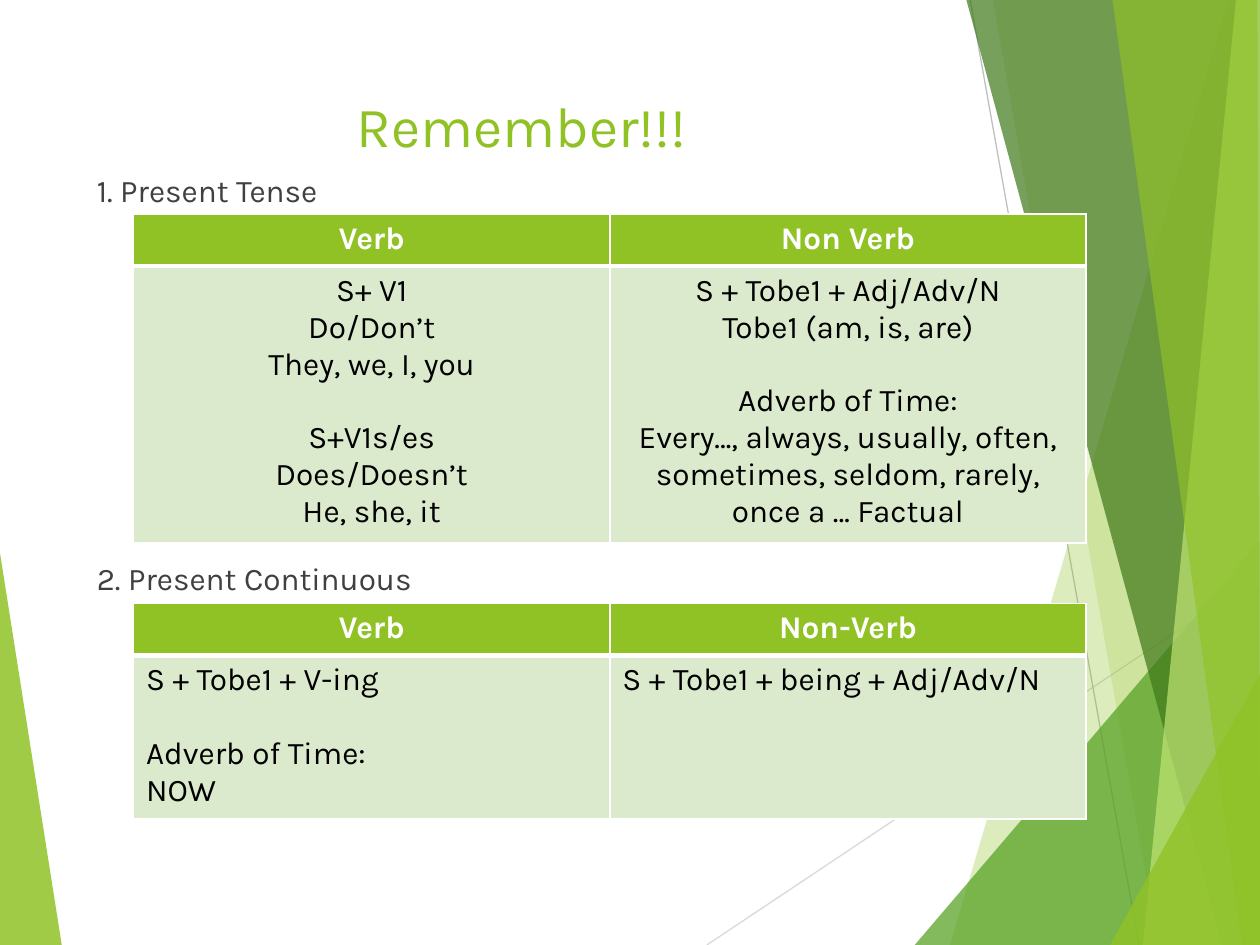
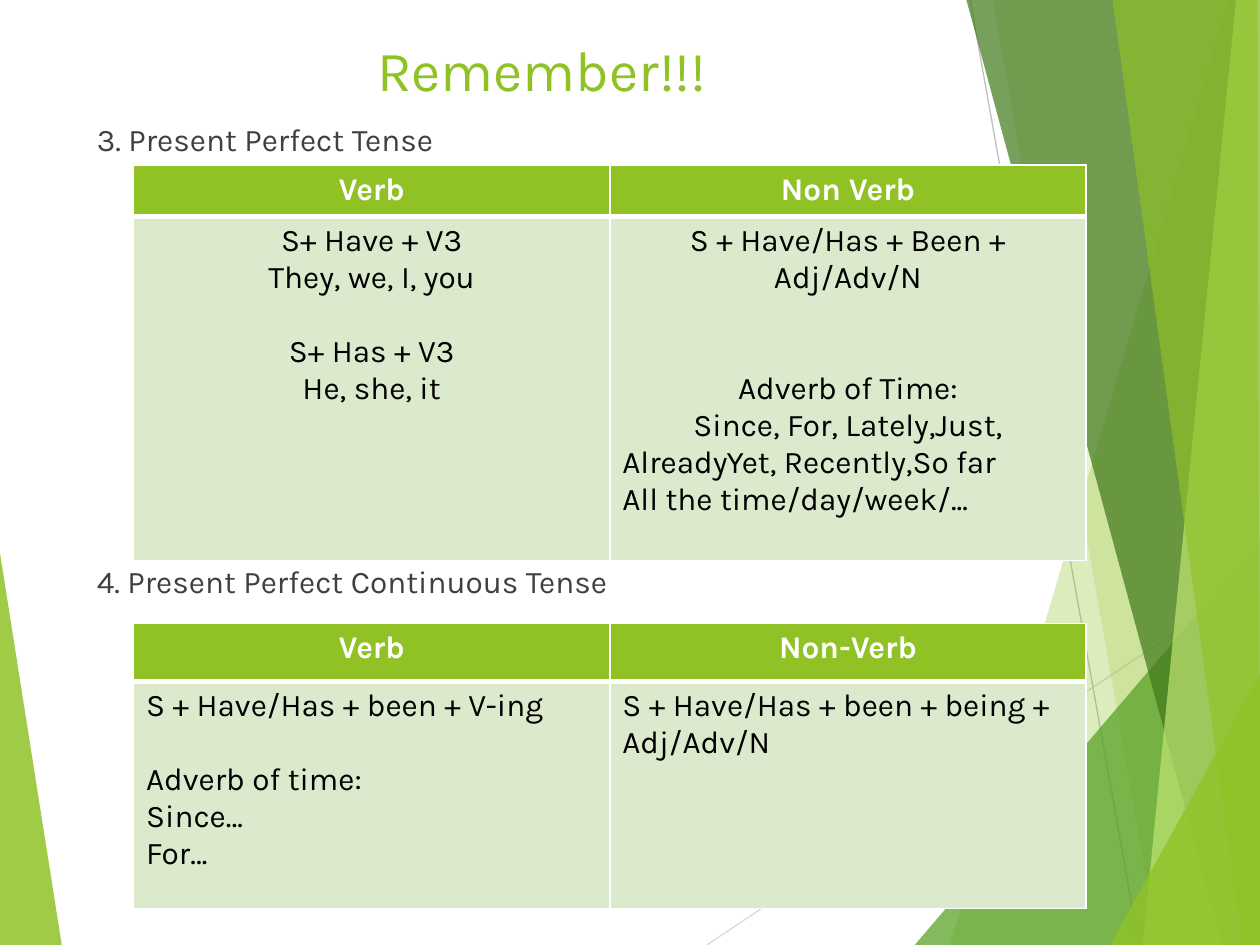
import pptx
import pptx.dml.color
import pptx.enum.text
import pptx.oxml.ns
import pptx.util
import lxml.etree

RGBColor = pptx.dml.color.RGBColor
LEFT = pptx.enum.text.PP_ALIGN.LEFT
CENTER = pptx.enum.text.PP_ALIGN.CENTER
MIDDLE = pptx.enum.text.MSO_ANCHOR.MIDDLE

LIME = RGBColor(0x90, 0xC2, 0x26)
LEAF = RGBColor(0x54, 0xA0, 0x21)
FOREST = RGBColor(0x3F, 0x78, 0x19)
PALE_LIME = RGBColor(0xC0, 0xE4, 0x74)
PALE_GREEN = RGBColor(0xDB, 0xE9, 0xCD)
LIGHT_GRAY = RGBColor(0xD9, 0xD9, 0xD9)
MID_GRAY = RGBColor(0xBF, 0xBF, 0xBF)
DARK_GRAY = RGBColor(0x40, 0x40, 0x40)
BLACK = RGBColor(0, 0, 0)
WHITE = RGBColor(255, 255, 255)

FONT = "Karla"
BODY_SIZE = 18
BLANK_LINE = 21  # points

presentation = pptx.Presentation()
presentation.slide_width = pptx.util.Inches(10)
presentation.slide_height = pptx.util.Inches(7.5)
SQUARE = presentation.slide_width / 10  # the slide is a grid of 10 by 7.5 squares
RIGHT, BOTTOM = 10, 7.5

HEADING_LEFT, HEADING_WIDTH, HEADING_HEIGHT = 0.67, 7.96, 0.4
TITLE_WIDTH, TITLE_HEIGHT = 6.94, 0.64
TABLE_LEFT, TABLE_WIDTH = 1.06, 7.56

# Background, back to front: outline, colour, opacity in percent
left_wedge = ([(0, 4.39), (0.49, BOTTOM), (0, BOTTOM)], LIME, 85)
thin_lines = [
    ((5.61, BOTTOM), (RIGHT, 4.57), LIGHT_GRAY),
    ((7.7, 0), (9.04, BOTTOM), MID_GRAY),
]
right_facets = [
    ([(9.75, 0), (7.54, BOTTOM), (RIGHT, BOTTOM), (RIGHT, 0)], LIME, 30),
    ([(7.88, 0), (9.19, BOTTOM), (RIGHT, BOTTOM), (RIGHT, 0)], LIME, 20),
    ([(7.26, BOTTOM), (RIGHT, 4.29), (RIGHT, BOTTOM)], LEAF, 72),
    ([(7.67, 0), (9.7, BOTTOM), (RIGHT, BOTTOM), (RIGHT, 0)], FOREST, 70),
    ([(9.81, 0), (9.07, BOTTOM), (RIGHT, BOTTOM), (RIGHT, 0)], PALE_LIME, 70),
    ([(8.83, 0), (9.86, BOTTOM), (RIGHT, BOTTOM), (9.98, 0)], LIME, 65),
    ([(8.81, BOTTOM), (RIGHT, 5.35), (RIGHT, BOTTOM)], LIME, 80),
]

# A cell is a list of groups: alignment, blank lines above, lines of text
lessons = [
    {
        "title_at": (0.67, 0.67),
        "tenses": [
            {
                "heading": "1. Present Tense", "heading_top": 1.31,
                "table_top": 1.7, "rows": (0.41, 2.2),
                "headers": ("Verb", "Non Verb"),
                "cells": (
                    [(CENTER, 0, ["S+ V1", "Do/Don’t", "They, we, I, you"]),
                     (CENTER, 1, ["S+V1s/es", "Does/Doesn’t", "He, she, it"])],
                    [(CENTER, 0, ["S + Tobe1 + Adj/Adv/N", "Tobe1 (am, is, are)"]),
                     (CENTER, 1, ["Adverb of Time:",
                                  "Every…, always, usually, often, sometimes, "
                                  "seldom, rarely, once a … Factual"])],
                ),
            },
            {
                "heading": "2. Present Continuous", "heading_top": 4.39,
                "table_top": 4.79, "rows": (0.41, 1.3),
                "headers": ("Verb", "Non-Verb"),
                "cells": (
                    [(LEFT, 0, ["S + Tobe1 + V-ing"]),
                     (LEFT, 1, ["Adverb of Time:", "NOW"])],
                    [(LEFT, 0, ["S + Tobe1 + being + Adj/Adv/N"])],
                ),
            },
        ],
    },
    {
        "title_at": (0.83, 0.23),
        "tenses": [
            {
                "heading": "3. Present Perfect Tense", "heading_top": 0.9,
                "table_top": 1.31, "rows": (0.41, 2.73),
                "headers": ("Verb", "Non Verb"),
                "cells": (
                    [(CENTER, 0, ["S+ Have + V3", "They, we, I, you"]),
                     (CENTER, 1, ["S+ Has + V3", "He, she, it"])],
                    [(CENTER, 0, ["S + Have/Has + Been + Adj/Adv/N"]),
                     (CENTER, 2, ["Adverb of Time:", "Since, For, Lately,Just,"]),
                     (LEFT, 0, ["AlreadyYet, Recently,So far",
                                "All the time/day/week/..."])],
                ),
            },
            {
                "heading": "4. Present Perfect Continuous Tense", "heading_top": 4.41,
                "table_top": 4.95, "rows": (0.46, 1.8),
                "headers": ("Verb", "Non-Verb"),
                "cells": (
                    [(LEFT, 0, ["S + Have/Has + been + V-ing"]),
                     (LEFT, 1, ["Adverb of time:", "Since…", "For…"])],
                    [(LEFT, 0, ["S + Have/Has + been + being + Adj/Adv/N"])],
                ),
            },
        ],
    },
]


def grid(*squares):
    """Turn counts of grid squares into whole slide units."""
    return [round(count * SQUARE) for count in squares]


def add_text(frame, text, size=BODY_SIZE, color=BLACK, bold=False, align=LEFT, space_before=0):
    """Fill the frame's empty first paragraph, or append a new one."""
    frame.word_wrap = True
    paragraph = frame.add_paragraph() if frame.text else frame.paragraphs[0]
    paragraph.alignment = align
    paragraph.space_before = pptx.util.Pt(space_before)
    run = paragraph.add_run()
    run.text = text
    run.font.name = FONT
    run.font.size = pptx.util.Pt(size)
    run.font.bold = bold
    run.font.color.rgb = color


for lesson in lessons:
    slide = presentation.slides.add_slide(presentation.slide_layouts[6])

    # The left wedge and right facets, with the thin lines between them
    for layer, facets in enumerate(([left_wedge], right_facets)):
        for points, color, opacity in facets:
            corners = [grid(*point) for point in points]
            builder = slide.shapes.build_freeform(*corners[0])
            builder.add_line_segments(corners[1:], close=True)
            facet = builder.convert_to_shape()
            facet.shadow.inherit = False
            facet.line.fill.background()
            facet.fill.solid()
            facet.fill.fore_color.rgb = color
            color_element = facet._element.spPr.find(".//" + pptx.oxml.ns.qn("a:srgbClr"))
            alpha = lxml.etree.SubElement(color_element, pptx.oxml.ns.qn("a:alpha"))
            alpha.set("val", str(opacity * 1000))
        if layer == 0:
            for start, end, color in thin_lines:
                line = slide.shapes.add_connector(
                    pptx.enum.shapes.MSO_CONNECTOR.STRAIGHT, *grid(*start, *end))
                line.line.color.rgb = color
                line.line.width = pptx.util.Pt(0.75)
                lxml.etree.SubElement(line._element.spPr, pptx.oxml.ns.qn("a:effectLst"))

    title = slide.shapes.add_textbox(*grid(*lesson["title_at"], TITLE_WIDTH, TITLE_HEIGHT))
    title.text_frame.vertical_anchor = MIDDLE
    add_text(title.text_frame, "Remember!!!", size=32.4, color=LIME, align=CENTER)

    for tense in lesson["tenses"]:
        heading = slide.shapes.add_textbox(
            *grid(HEADING_LEFT, tense["heading_top"], HEADING_WIDTH, HEADING_HEIGHT))
        add_text(heading.text_frame, tense["heading"], color=DARK_GRAY)

        table = slide.shapes.add_table(
            2, 2, *grid(TABLE_LEFT, tense["table_top"], TABLE_WIDTH, sum(tense["rows"]))).table
        for row, height in zip(table.rows, grid(*tense["rows"])):
            row.height = height

        for column in range(2):
            header, body = table.cell(0, column), table.cell(1, column)
            add_text(header.text_frame, tense["headers"][column],
                     color=WHITE, bold=True, align=CENTER)
            for align, blank_lines, lines in tense["cells"][column]:
                for index, text in enumerate(lines):
                    gap = blank_lines * BLANK_LINE if index == 0 else 0
                    add_text(body.text_frame, text, align=align, space_before=gap)

            # White rules, thicker between header and body
            for cell, fill, thick_side in ((header, LIME, "B"), (body, PALE_GREEN, "T")):
                properties = cell._tc.get_or_add_tcPr()
                for side in "LRTB":
                    border = lxml.etree.SubElement(properties, pptx.oxml.ns.qn("a:ln" + side))
                    border.set("w", str(pptx.util.Pt(3 if side == thick_side else 1)))
                    border_fill = lxml.etree.SubElement(border, pptx.oxml.ns.qn("a:solidFill"))
                    lxml.etree.SubElement(
                        border_fill, pptx.oxml.ns.qn("a:srgbClr")).set("val", str(WHITE))
                cell.fill.solid()
                cell.fill.fore_color.rgb = fill

presentation.save("out.pptx")
